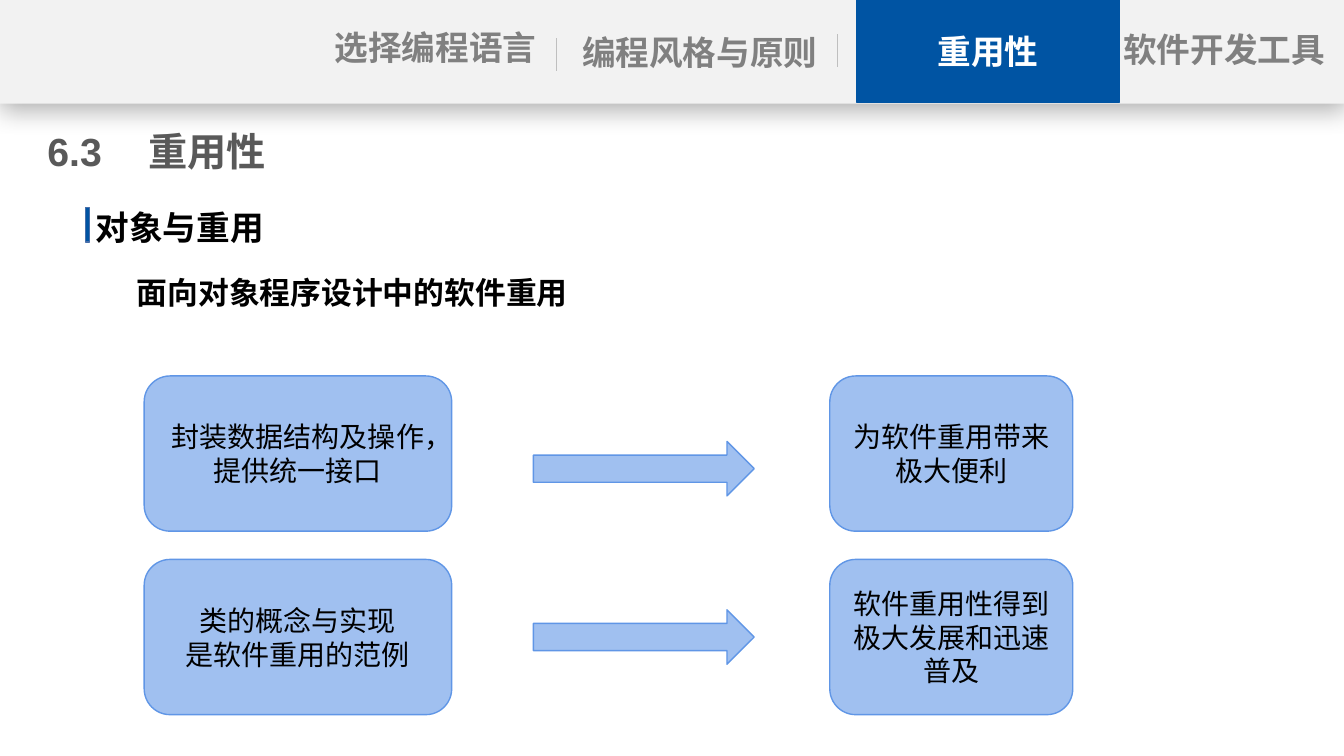
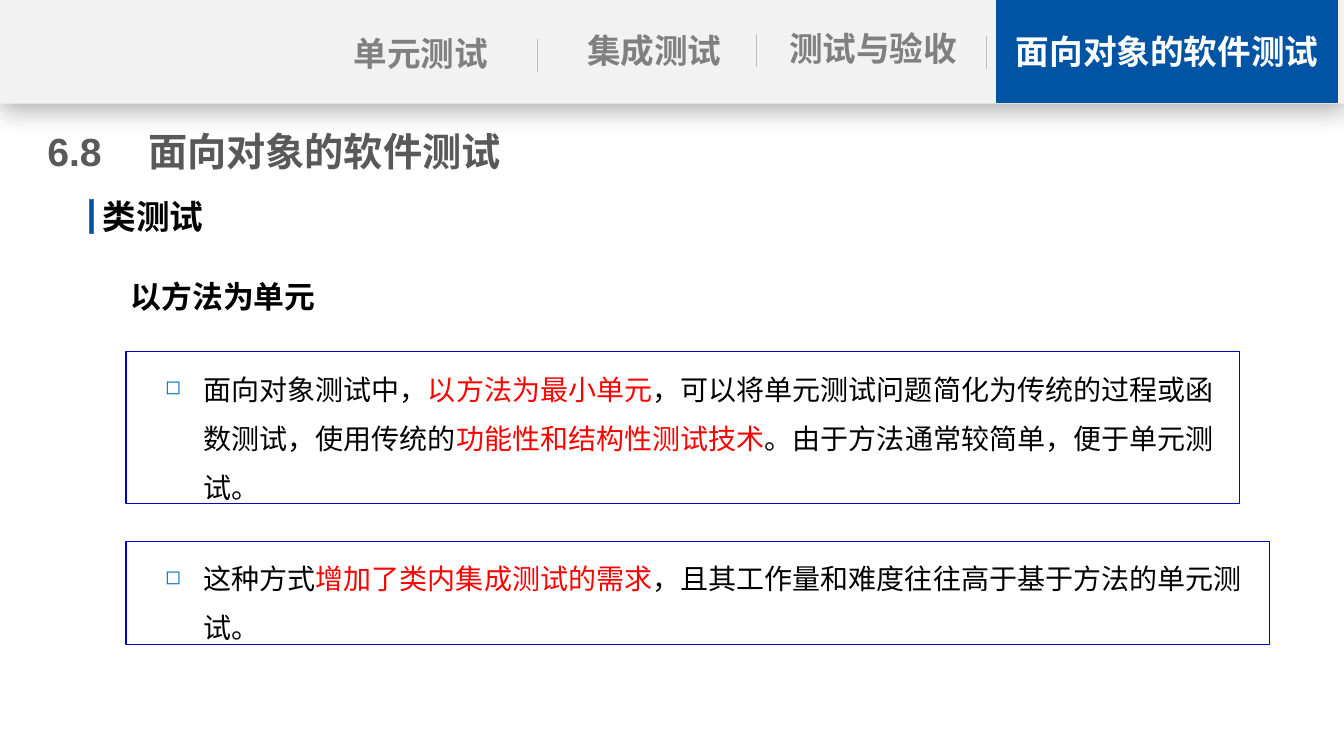
"""Build two course slides on software reuse and object-oriented testing."""
from dataclasses import dataclass

from lxml.etree import SubElement
from pptx import Presentation
from pptx.dml.color import RGBColor
from pptx.enum.lang import MSO_LANGUAGE_ID
from pptx.enum.shapes import MSO_CONNECTOR, MSO_SHAPE
from pptx.enum.text import MSO_ANCHOR, PP_ALIGN
from pptx.oxml.ns import qn
from pptx.shapes.autoshape import Shape
from pptx.slide import Slide
from pptx.util import Inches, Pt

FONT = "Arial"
BLACK = RGBColor(0x00, 0x00, 0x00)
WHITE = RGBColor(0xFF, 0xFF, 0xFF)
RED = RGBColor(0xFF, 0x00, 0x00)
BLUE = RGBColor(0x00, 0x54, 0xA3)
EDGE = RGBColor(0x47, 0x6F, 0xAA)
NAVY = RGBColor(0x00, 0x00, 0xCC)
MARK = RGBColor(0x00, 0x70, 0xC0)
SKY = RGBColor(0xA0, 0xC0, 0xF0)
RIM = RGBColor(0x60, 0x96, 0xE6)
PALE = RGBColor(0xF2, 0xF2, 0xF2)
RULE = RGBColor(0xBF, 0xBF, 0xBF)
GRAY = RGBColor(0x80, 0x80, 0x80)
DARK = RGBColor(0x59, 0x59, 0x59)
WIDTH, BAND = 13.33, 1.03


@dataclass(frozen=True)
class Box:
    """Place and size in inches."""
    left: float
    top: float
    width: float
    height: float


@dataclass(frozen=True)
class Label:
    """Text and its box."""
    text: str
    box: Box


@dataclass(frozen=True)
class Page:
    """The parts that every slide has."""
    title: Label
    tabs: tuple[Label, ...]
    rules: tuple[tuple[float, float], ...]
    active: Label
    bar: tuple[float, float]
    topic: Label
    point: Label


def write(shape: Shape, text: str, *, size: float = 20, color: RGBColor = BLACK,
          bold: bool = False, align: PP_ALIGN = PP_ALIGN.LEFT,
          anchor: MSO_ANCHOR = MSO_ANCHOR.TOP, inset: float = 0.1,
          margin: float = 0, indent: float = 0, lead: float | None = None,
          before: float = 0, bullet: str = "", tab: float = 0) -> None:
    """Write lines of text; parts between bars are red."""
    frame = shape.text_frame
    frame.word_wrap = True
    frame.vertical_anchor = anchor
    frame.margin_left = frame.margin_right = Inches(inset)
    frame.margin_top = frame.margin_bottom = Inches(0.05)
    for row, line in enumerate(text.split("\n")):
        para = frame.add_paragraph() if row else frame.paragraphs[0]
        para.alignment = align
        para.space_before = Pt(before)
        if lead:
            para.line_spacing = Pt(lead)
        props = para._p.get_or_add_pPr()
        props.set("marL", str(Inches(margin)))
        props.set("indent", str(Inches(indent)))
        if bullet:
            tint = SubElement(props, qn("a:buClr"))
            SubElement(tint, qn("a:srgbClr"), val=str(MARK))
            SubElement(props, qn("a:buSzPct"), val="70000")
            SubElement(props, qn("a:buChar"), char=bullet)
        if tab:
            stops = SubElement(props, qn("a:tabLst"))
            SubElement(stops, qn("a:tab"), pos=str(Inches(tab)), algn="l")
        for part, words in enumerate(line.split("|")):
            run = para.add_run()
            run.text = words
            run.font.name = FONT
            run.font.size = Pt(size)
            run.font.bold = bold
            run.font.color.rgb = RED if part % 2 else color
            run.font.language_id = MSO_LANGUAGE_ID.SIMPLIFIED_CHINESE
            SubElement(run._r.get_or_add_rPr(), qn("a:ea"), typeface=FONT)


def place(box: Box) -> tuple[Inches, Inches, Inches, Inches]:
    """Turn a box into lengths."""
    return Inches(box.left), Inches(box.top), Inches(box.width), Inches(box.height)


def draw(slide: Slide, kind: MSO_SHAPE, box: Box, fill: RGBColor | None = None,
         line: RGBColor | None = None, weight: float = 1) -> Shape:
    """Add a flat shape."""
    shape = slide.shapes.add_shape(kind, *place(box))
    shape.shadow.inherit = False
    if fill is None:
        shape.fill.background()
    else:
        shape.fill.solid()
        shape.fill.fore_color.rgb = fill
    if line is None:
        shape.line.fill.background()
    else:
        shape.line.color.rgb = line
        shape.line.width = Pt(weight)
    return shape


def label(slide: Slide, item: Label, **style) -> None:
    """Add a text box."""
    write(slide.shapes.add_textbox(*place(item.box)), item.text, **style)


def divide(slide: Slide, left: float, top: float) -> None:
    """Add a thin rule between two tabs."""
    rule = slide.shapes.add_connector(
        MSO_CONNECTOR.STRAIGHT, Inches(left), Inches(top), Inches(left), Inches(top + 0.32))
    rule.line.color.rgb = RULE
    rule.line.width = Pt(0.5)
    SubElement(rule._element.spPr, qn("a:effectLst"))


def header(slide: Slide, page: Page) -> None:
    """Draw the shadowed band with its tabs."""
    band = draw(slide, MSO_SHAPE.RECTANGLE, Box(0, 0, WIDTH, BAND), PALE)
    effects = band._element.spPr.find(qn("a:effectLst"))
    shade = SubElement(effects, qn("a:outerShdw"), blurRad=str(Pt(18)),
                       dist=str(Pt(4)), dir="5400000", algn="t", rotWithShape="0")
    tint = SubElement(shade, qn("a:srgbClr"), val=str(BLACK))
    SubElement(tint, qn("a:alpha"), val="29000")
    for left, top in page.rules:
        divide(slide, left, top)
    for tab in page.tabs:
        label(slide, tab, size=24, color=GRAY, bold=True, align=PP_ALIGN.CENTER, inset=0)
    active = draw(slide, MSO_SHAPE.RECTANGLE, page.active.box, BLUE, BLUE)
    write(active, page.active.text, size=24, color=WHITE, bold=True,
          align=PP_ALIGN.CENTER, anchor=MSO_ANCHOR.MIDDLE)


def start(deck: Presentation, page: Page) -> Slide:
    """Add a slide with band, title and headings."""
    slide = deck.slides.add_slide(deck.slide_layouts[6])
    header(slide, page)
    label(slide, page.title, size=28, color=DARK, bold=True, inset=0, tab=0.75)
    draw(slide, MSO_SHAPE.RECTANGLE, Box(*page.bar, 0.04, 0.34), BLUE, EDGE)
    label(slide, page.topic, size=24, bold=True)
    label(slide, page.point, size=22, bold=True, margin=0.29, lead=35, before=6)
    return slide


REUSE = Page(
    title=Label("6.3\t重用性", Box(0.47, 1.21, 3.31, 0.58)),
    tabs=(Label("选择编程语言", Box(3.13, 0.22, 2.38, 0.6)),
          Label("编程风格与原则", Box(5.56, 0.27, 2.76, 0.51)),
          Label("软件开发工具", Box(11.1, 0.24, 2.08, 0.51))),
    rules=((5.52, 0.38), (8.31, 0.34)),
    active=Label("重用性", Box(8.5, 0, 2.6, 1.02)),
    bar=(0.85, 2.06),
    topic=Label("对象与重用", Box(0.85, 2, 5.54, 0.5)),
    point=Label("面向对象程序设计中的软件重用", Box(0.97, 2.55, 5.42, 0.54)),
)
TESTS = Page(
    title=Label("6.8\t面向对象的软件测试", Box(0.47, 1.21, 4.57, 0.58)),
    tabs=(Label("单元测试", Box(3.14, 0.28, 2.07, 0.51)),
          Label("集成测试", Box(5.45, 0.25, 2.08, 0.51)),
          Label("测试与验收", Box(7.53, 0.23, 2.26, 0.51))),
    rules=((5.33, 0.39), (7.5, 0.34), (9.78, 0.36)),
    active=Label("面向对象的软件测试", Box(9.89, 0, 3.37, 1.02)),
    bar=(0.89, 1.98),
    topic=Label("类测试", Box(0.92, 1.89, 5.54, 0.5)),
    point=Label("以方法为单元", Box(0.91, 2.59, 3.73, 0.55)),
)
FLOWS = (
    (3.73, 4.38, "封装数据结构及操作，提供统一接口", "为软件重用带来极大便利"),
    (5.55, 6.05, "类的概念与实现\n是软件重用的范例", "软件重用性得到极大发展和迅速普及"),
)
NOTES = (
    Label("面向对象测试中，|以方法为最小单元|，可以将单元测试问题简化为传统的过程或函数测试，"
          "使用传统的|功能性和结构性测试技术|。由于方法通常较简单，便于单元测试。",
          Box(1.25, 3.49, 11.04, 1.51)),
    Label("这种方式|增加了类内集成测试的需求|，且其工作量和难度往往高于基于方法的单元测试。",
          Box(1.25, 5.37, 11.34, 1.02)),
)


def reuse(deck: Presentation) -> None:
    """Draw causes with arrows to their effects."""
    slide = start(deck, REUSE)
    for top, middle, cause, effect in FLOWS:
        for left, width, text in ((1.43, 3.05, cause), (8.23, 2.41, effect)):
            card = draw(slide, MSO_SHAPE.FLOWCHART_ALTERNATE_PROCESS,
                        Box(left, top, width, 1.54), SKY, RIM)
            write(card, text, align=PP_ALIGN.CENTER, anchor=MSO_ANCHOR.MIDDLE)
        draw(slide, MSO_SHAPE.RIGHT_ARROW, Box(5.29, middle, 2.19, 0.54), SKY, RIM)


def tests(deck: Presentation) -> None:
    """Draw the framed notes."""
    slide = start(deck, TESTS)
    for note in NOTES:
        frame = draw(slide, MSO_SHAPE.RECTANGLE, note.box, line=NAVY, weight=0.75)
        write(frame, note.text, margin=0.67, indent=-0.38, lead=35, before=6, bullet="◻")


def main() -> None:
    """Build and save the deck."""
    deck = Presentation()
    deck.slide_width, deck.slide_height = Inches(WIDTH), Inches(7.5)
    reuse(deck)
    tests(deck)
    deck.save("out.pptx")


if __name__ == "__main__":
    main()
